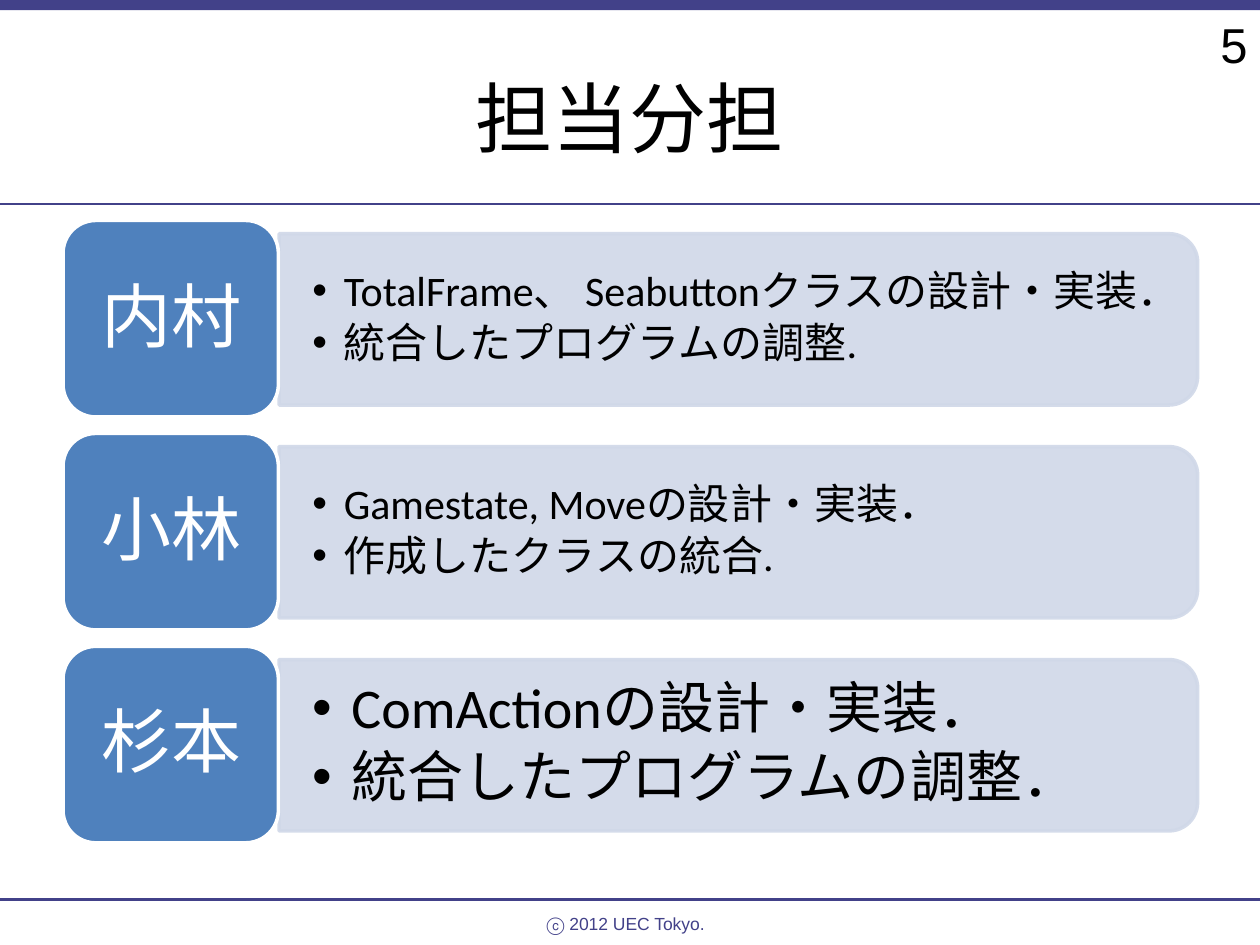
import pptx
import pptx.util
import pptx.dml.color
import pptx.enum.shapes
import pptx.enum.text
import pptx.oxml.ns
from lxml import etree
from pptx.util import Inches

COLORS = {"navy": "424189", "blue": "4F81BD", "pale": "D0D8E8",
          "black": "000000", "white": "FFFFFF"}
SHAPES = pptx.enum.shapes.MSO_SHAPE
ALIGN = pptx.enum.text.PP_ALIGN
ANCHOR = pptx.enum.text.MSO_ANCHOR
qn = pptx.oxml.ns.qn


def write_text(shape, lines, size, color="black", font="Calibri", align=ALIGN.LEFT,
               anchor=ANCHOR.MIDDLE, insets=(0.1, 0.05), wrap=True,
               line_spacing=None, space_after=None, indent=None):
    """Fill a shape with paragraphs; an indent in inches makes them bulleted."""
    frame = shape.text_frame
    frame.word_wrap = wrap
    frame.vertical_anchor = anchor
    frame.margin_left = frame.margin_right = Inches(insets[0])
    frame.margin_top = frame.margin_bottom = Inches(insets[1])
    frame.text = "\n".join(lines)
    for paragraph in frame.paragraphs:
        paragraph.alignment = align
        if line_spacing:
            paragraph.line_spacing = line_spacing
        if space_after:
            paragraph.space_after = pptx.util.Pt(space_after)
        if indent:
            paragraph.level = 1
            properties = paragraph._p.get_or_add_pPr()
            properties.set("marL", str(Inches(indent)))
            properties.set("indent", str(-Inches(indent)))
            etree.SubElement(properties, qn("a:buFont"), typeface="Arial")
            etree.SubElement(properties, qn("a:buChar"), char="•")
        paragraph.font.size = pptx.util.Pt(size)
        paragraph.font.name = font
        paragraph.font.color.rgb = pptx.dml.color.RGBColor.from_string(COLORS[color])


def add_block(kind, left, top, width, height, fill, line=None, alpha=None):
    """Add a filled preset shape with an optional outline and opacity percent."""
    shape = slide.shapes.add_shape(kind, Inches(left), Inches(top),
                                   Inches(width), Inches(height))
    shape.shadow.inherit = False
    shape.fill.solid()
    shape.fill.fore_color.rgb = pptx.dml.color.RGBColor.from_string(COLORS[fill])
    if line:
        shape.line.color.rgb = pptx.dml.color.RGBColor.from_string(COLORS[line])
        shape.line.width = pptx.util.Pt(2)
    else:
        shape.line.fill.background()
    if alpha:
        for color in shape._element.spPr.iter(qn("a:srgbClr")):
            etree.SubElement(color, qn("a:alpha"), val=str(alpha * 1000))
    return shape


presentation = pptx.Presentation()
presentation.slide_width = Inches(10)
presentation.slide_height = Inches(7.5)
slide = presentation.slides.add_slide(presentation.slide_layouts[5])

# Top band and the two rules
add_block(SHAPES.RECTANGLE, 0, 0, 10, 0.08, "navy")
for rule_top in (1.62, 7.14):
    rule = slide.shapes.add_connector(pptx.enum.shapes.MSO_CONNECTOR.STRAIGHT,
                                      0, Inches(rule_top), Inches(10), Inches(rule_top))
    rule.line.color.rgb = pptx.dml.color.RGBColor.from_string(COLORS["navy"])
    rule.line.width = pptx.util.Pt(1.5)
    etree.SubElement(rule._element.spPr, qn("a:effectLst"))

# Footer and page number
footer = slide.shapes.add_textbox(Inches(4.24), Inches(7.2), Inches(1.48), Inches(0.27))
write_text(footer, ["ⓒ 2012 UEC Tokyo."], 10, color="navy", font="Arial",
           anchor=ANCHOR.TOP, wrap=False)
page_number = slide.shapes.add_textbox(Inches(7.67), Inches(0.07), Inches(2.33), Inches(0.4))
write_text(page_number, ["5"], 28, font="Arial", align=ALIGN.RIGHT, anchor=ANCHOR.TOP)

# Title
title = slide.shapes.title
title.left, title.top, title.width, title.height = (
    Inches(0.5), Inches(0.3), Inches(9), Inches(1.25))
write_text(title, ["担当分担"], 44, align=ALIGN.CENTER)

# One row per member: name, tasks, task size, bullet indent
members = [
    ("内村", ["TotalFrame、 Seabuttonクラスの設計・実装．", "統合したプログラムの調整."], 24, 0.25),
    ("小林", ["Gamestate, Moveの設計・実装．", "作成したクラスの統合."], 24, 0.25),
    ("杉本", ["ComActionの設計・実装．", "統合したプログラムの調整．"], 32, 0.31),
]
for index, (name, tasks, size, indent) in enumerate(members):
    row_top = 1.75 + 1.69 * index

    # The task panel is a tall shape turned on its side
    panel = add_block(SHAPES.ROUND_2_SAME_RECTANGLE, 5.18, row_top - 2.86, 1.36, 7.29,
                      "pale", line="pale", alpha=90)
    panel.rotation = 90
    task_box = slide.shapes.add_textbox(Inches(2.21), Inches(row_top + 0.17),
                                        Inches(7.23), Inches(1.22))
    write_text(task_box, tasks, size, insets=(0.27, 0.14), line_spacing=0.9,
               space_after=0.15 * size, indent=indent)

    add_block(SHAPES.ROUNDED_RECTANGLE, 0.5, row_top, 1.71, 1.56, "blue", line="white")
    name_box = slide.shapes.add_textbox(Inches(0.58), Inches(row_top + 0.08),
                                        Inches(1.56), Inches(1.41))
    write_text(name_box, [name], 40, color="white", align=ALIGN.CENTER,
               insets=(0.17, 0.08), line_spacing=0.9)

presentation.save("out.pptx")
